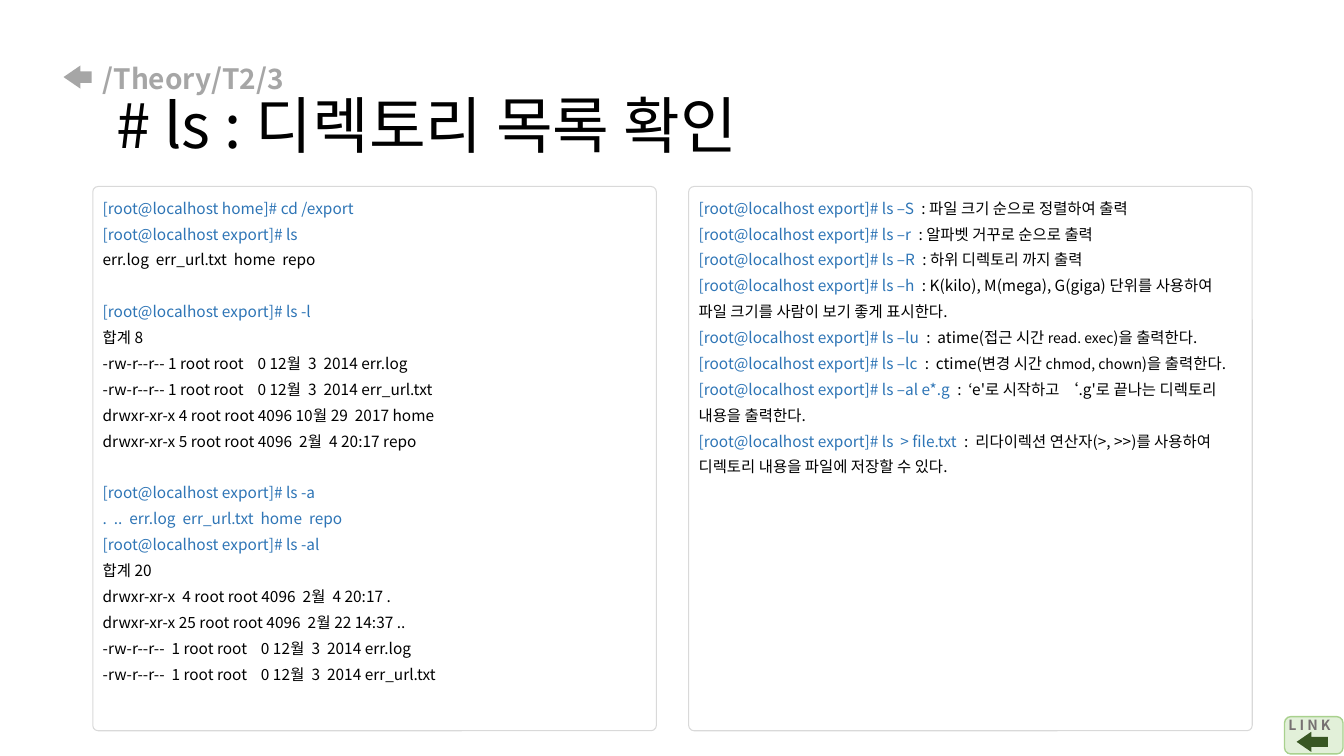
from lxml.etree import SubElement
from pptx import Presentation
from pptx.dml.color import RGBColor
from pptx.enum.shapes import MSO_SHAPE as SHAPE
from pptx.enum.text import MSO_ANCHOR as ANCHOR, MSO_AUTO_SIZE as AUTO
from pptx.oxml.ns import qn
from pptx.util import Emu, Pt

PX = 9144
FONT = "Noto Sans CJK KR"
BLACK = RGBColor(0x00, 0x00, 0x00)
BLUE = RGBColor(0x2E, 0x75, 0xB6)
GRAY = RGBColor(0xA6, 0xA6, 0xA6)
BORDER = RGBColor(0xD9, 0xD9, 0xD9)
LABEL = RGBColor(0x76, 0x71, 0x71)
MINT = RGBColor(0xE2, 0xF0, 0xD9)
GREEN = RGBColor(0xA9, 0xD1, 0x8E)
FOREST = RGBColor(0x38, 0x57, 0x23)


class SlideBuilder:
    """Draws styled elements on one slide, with lengths in px."""

    def __init__(self, prs):
        self.s = prs.slides.add_slide(prs.slide_layouts[6])

    def shape(self, kind, box, fill=None, line=None, width=0, adj=()):
        sp = self.s.shapes.add_shape(kind, *(Emu(v * PX) for v in box))
        sp.shadow.inherit = False
        if fill is None:
            sp.fill.background()
        else:
            sp.fill.solid()
            sp.fill.fore_color.rgb = fill
        if line is None:
            sp.line.fill.background()
        else:
            sp.line.color.rgb = line
            sp.line.width = Pt(width)
        for i, value in enumerate(adj):
            sp.adjustments[i] = value
        return sp

    def arrow(self, box, fill):
        return self.shape(SHAPE.LEFT_ARROW, box, fill, adj=(0.5, 0.73))

    def run(self, p, text, color=BLACK, size=11, bold=False):
        r = p.add_run()
        r.text = text
        r.font.size = Pt(size)
        r.font.bold = bold
        r.font.name = FONT
        r.font.color.rgb = color
        SubElement(r.font._element, qn("a:ea"), typeface=FONT)

    def text_frame(self, box, anchor=ANCHOR.TOP):
        tf = self.s.shapes.add_textbox(*(Emu(v * PX) for v in box)).text_frame
        tf.word_wrap = True
        tf.auto_size = AUTO.NONE
        tf.vertical_anchor = anchor
        return tf

    def title(self, box, crumb, heading):
        p = self.text_frame(box, ANCHOR.MIDDLE).paragraphs[0]
        p.line_spacing = 0.9
        self.run(p, crumb, GRAY, 20, True)
        p.add_line_break()
        self.run(p, heading, size=44)

    def panel(self, box, blocks):
        self.shape(SHAPE.ROUNDED_RECTANGLE, box, line=BORDER, adj=(0.01,))
        tf = self.text_frame(box)
        for b, block in enumerate(blocks):
            for i, runs in enumerate(block):
                first = b == i == 0
                p = tf.paragraphs[0] if first else tf.add_paragraph()
                p.line_spacing = 1.4
                if b and i == 0:
                    p.space_before = Pt(18.5)
                for r in runs:
                    self.run(p, *r)

    def link_badge(self, text):
        self.shape(SHAPE.ROUNDED_RECTANGLE, (1274, 711, 58, 37), MINT, GREEN, 1)
        p = self.text_frame((1268, 706, 74, 44)).paragraphs[0]
        self.run(p, text, LABEL, 10, True)
        self.arrow((1286, 726, 31, 20), FOREST)


def prompt(command, folder="export"):
    return (f"[root@localhost {folder}]# {command}", BLUE)


SESSION = [
    [
        [prompt("cd /export", "home")],
        [prompt("ls")],
        [("err.log  err_url.txt  home  repo",)],
    ],
    [
        [prompt("ls -l")],
        [("합계 8",)],
        [("-rw-r--r-- 1 root root    0 12월  3  2014 err.log",)],
        [("-rw-r--r-- 1 root root    0 12월  3  2014 err_url.txt",)],
        [("drwxr-xr-x 4 root root 4096 10월 29  2017 home",)],
        [("drwxr-xr-x 5 root root 4096  2월  4 20:17 repo",)],
    ],
    [
        [prompt("ls -a")],
        [(".  ..  err.log  err_url.txt  home  repo", BLUE)],
        [prompt("ls -al")],
        [("합계 20",)],
        [("drwxr-xr-x  4 root root 4096  2월  4 20:17 .",)],
        [("drwxr-xr-x 25 root root 4096  2월 22 14:37 ..",)],
        [("-rw-r--r--  1 root root    0 12월  3  2014 err.log",)],
        [("-rw-r--r--  1 root root    0 12월  3  2014 err_url.txt",)],
    ],
]

OPTIONS = [[
    [prompt("ls –S  "), (": 파일 크기 순으로 정렬하여 출력",)],
    [prompt("ls –r  "), (": 알파벳 거꾸로 순으로 출력",)],
    [prompt("ls –R  "), (": 하위 디렉토리 까지 출력",)],
    [prompt("ls –h  "), (": K(kilo), M(mega), G(giga) 단위를 사용하여 "
                         "파일 크기를 사람이 보기 좋게 표시한다.",)],
    [prompt("ls –lu  "), (":  atime(접근 시간 ",),
     ("read. exec", BLACK, 10), (")을 출력한다.",)],
    [prompt("ls –lc  "), (":  ctime(변경 시간 ",),
     ("chmod, chown", BLACK, 10), (")을 출력한다.",)],
    [prompt("ls –al e*.g  "), (":  ‘e'로 시작하고 ‘.g'로 끝나는 디렉토리 "
                               "내용을 출력한다.",)],
    [prompt("ls  > file.txt  "), (":  리다이렉션 연산자(>, >>)를 사용하여 "
                                  "디렉토리 내용을 파일에 저장할 수 있다.",)],
]]


def main():
    prs = Presentation()
    prs.slide_width, prs.slide_height = Emu(1333 * PX), Emu(750 * PX)
    slide = SlideBuilder(prs)
    slide.title((92, 40, 1150, 145), "/Theory/T2/3", " # ls : 디렉토리 목록 확인")
    for i, blocks in enumerate((SESSION, OPTIONS)):
        slide.panel((92 + i * 591, 185, 559, 540), blocks)
    slide.arrow((63, 65, 28, 23), GRAY)
    slide.link_badge("L I N K")
    prs.save("out.pptx")


if __name__ == "__main__":
    main()
